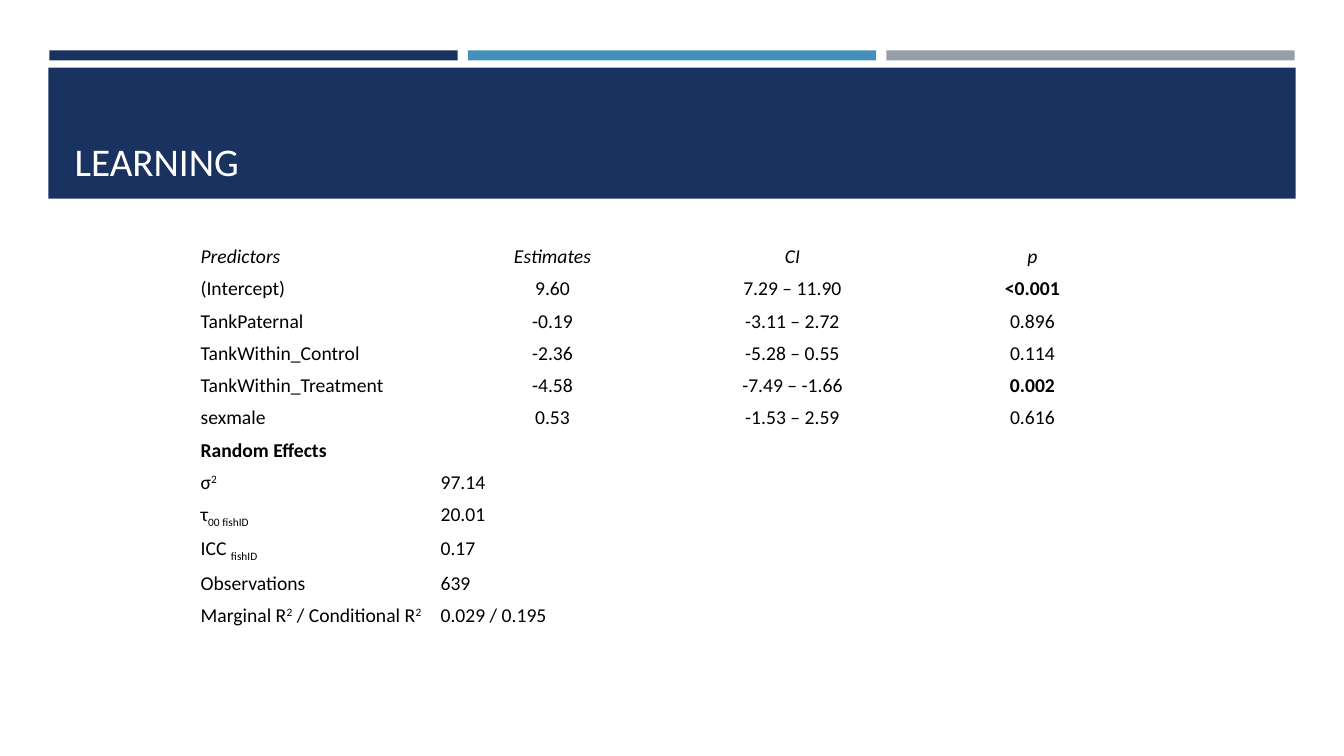
from pptx import Presentation
from pptx import util as u
from pptx.dml.color import RGBColor
from pptx.enum import shapes, text

NAVY = RGBColor(0x1A, 0x32, 0x60)
BLUE = RGBColor(0x45, 0x90, 0xB8)
GREY = RGBColor(0x96, 0x9F, 0xA7)
WHITE = RGBColor(0xFF, 0xFF, 0xFF)
BLACK = RGBColor(0, 0, 0)
FONT = "Calibri"
SUP, SUB = "30000", "-25000"

deck = Presentation()
deck.slide_width, deck.slide_height = u.Inches(13.33), u.Inches(7.5)
slide = deck.slides.add_slide(deck.slide_layouts[5])


def add_bar(left, top, width, height, color):
    bar = slide.shapes.add_shape(
        shapes.MSO_SHAPE.RECTANGLE, *map(u.Inches, (left, top, width, height)))
    bar.shadow.inherit = False
    bar.fill.solid()
    bar.fill.fore_color.rgb = color
    bar.line.fill.background()


def add_run(para, words, size, color, bold=False, italic=False, base=None):
    """Add one run; base is its shift above or below the baseline."""
    run = para.add_run()
    run.text = words
    font = run.font
    font.name, font.size, font.color.rgb = FONT, u.Pt(size), color
    font.bold, font.italic = bold, italic
    if base:
        run._r.get_or_add_rPr().set("baseline", base)


# Header: three strips above a band
strip, gap = 4.05, 0.1
for col, color in enumerate((NAVY, BLUE, GREY)):
    add_bar(0.49 + col * (strip + gap), 0.5, strip, 0.1, color)
add_bar(0.48, 0.67, 12.37, 1.3, NAVY)

# Title, brought in front of the band
title = slide.shapes.title
title.left, title.top = u.Inches(0.64), u.Inches(0.77)
title.width, title.height = u.Inches(12.06), u.Inches(1.11)
slide.shapes._spTree.append(title._element)
frame = title.text_frame
frame.word_wrap = True
frame.vertical_anchor = text.MSO_ANCHOR.BOTTOM
frame.paragraphs[0].alignment = text.PP_ALIGN.LEFT
add_run(frame.paragraphs[0], "LEARNING", 28, WHITE)

# Each label is a list of (words, baseline shift)
fixed = [
    ("Predictors", "Estimates", "CI", "p"),
    ("(Intercept)", "9.60", "7.29 – 11.90", "<0.001"),
    ("TankPaternal", "-0.19", "-3.11 – 2.72", "0.896"),
    ("TankWithin_Control", "-2.36", "-5.28 – 0.55", "0.114"),
    ("TankWithin_Treatment", "-4.58", "-7.49 – -1.66", "0.002"),
    ("sexmale", "0.53", "-1.53 – 2.59", "0.616"),
]
random = [
    ([("σ", None), ("2", SUP)], "97.14"),
    ([("τ", None), ("00 fishID", SUB)], "20.01"),
    ([("ICC ", None), ("fishID", SUB)], "0.17"),
    ([("Observations", None)], "639"),
    ([("Marginal R", None), ("2", SUP), (" / Conditional R", None), ("2", SUP)],
     "0.029 / 0.195"),
]
strong = {"<0.001", "0.002", "Random Effects"}
rows = [[[(words, None)] for words in row] for row in fixed]
rows.append([[("Random Effects", None)]])
rows += [[label, [(value, None)]] for label, value in random]

cols, width, height = 4, 2.38, 0.32
grid = slide.shapes.add_table(
    len(rows), cols, u.Inches(1.91), u.Inches(2.39),
    u.Inches(cols * width), u.Inches(len(rows) * height)).table
grid.first_row = grid.horz_banding = False
for col in grid.columns:
    col.width = u.Inches(width)
for line in grid.rows:
    line.height = u.Inches(height)
grid.rows[len(rows) - 1].height = u.Inches(0.55)

for r, row in enumerate(rows):
    for c in range(cols):
        cell = grid.cell(r, c)
        cell.fill.solid()
        cell.fill.fore_color.rgb = WHITE
        cell.margin_left = cell.margin_right = u.Inches(0.08)
        cell.margin_top = cell.margin_bottom = u.Inches(0.04)
    if len(row) < cols:
        grid.cell(r, len(row) - 1).merge(grid.cell(r, cols - 1))
    for c, runs in enumerate(row):
        cell = grid.cell(r, c)
        if r == 0 or len(row) == 1:
            cell.vertical_anchor = text.MSO_ANCHOR.MIDDLE
        para = cell.text_frame.paragraphs[0]
        if c and len(row) == cols:
            para.alignment = text.PP_ALIGN.CENTER
        for words, base in runs:
            add_run(para, words, 14, BLACK, words in strong, r == 0, base)

deck.save("out.pptx")
